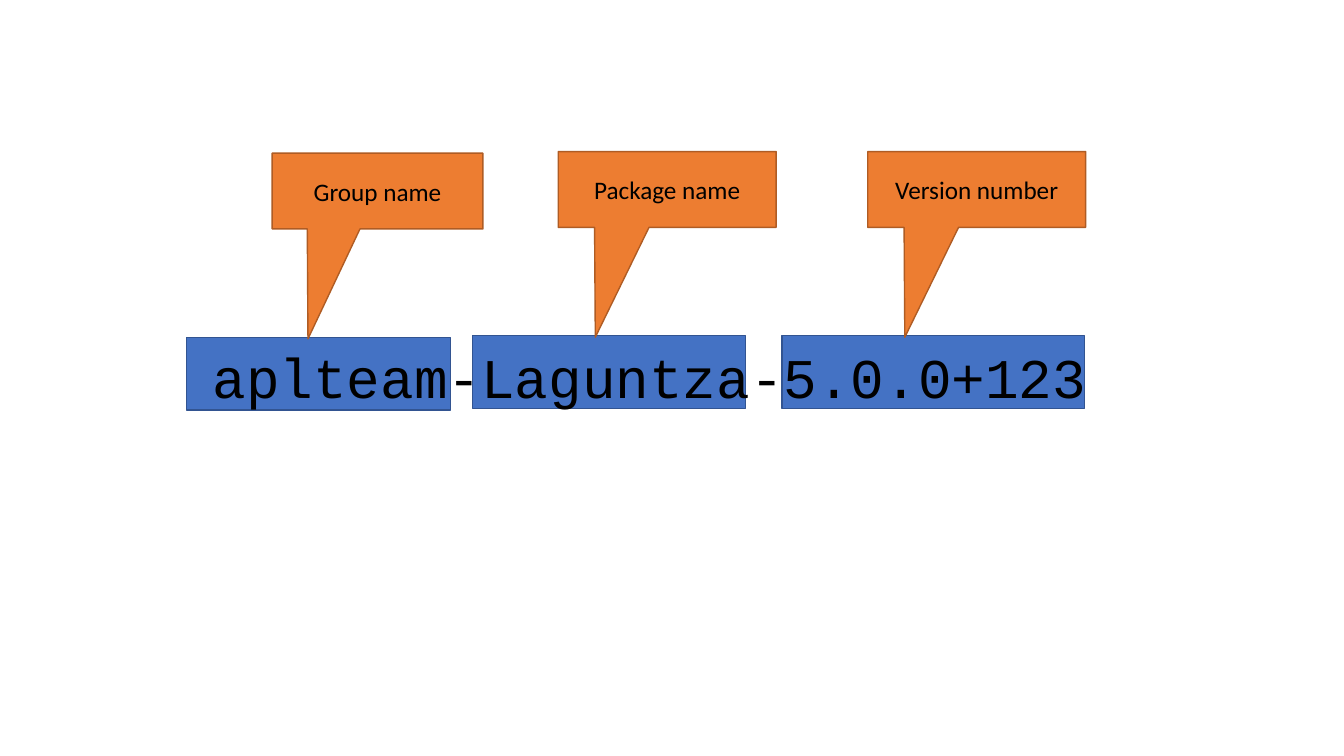
import pptx
import pptx.dml.color
import pptx.enum.shapes
import pptx.enum.text
import pptx.util

Cm = pptx.util.Cm
Pt = pptx.util.Pt
RGBColor = pptx.dml.color.RGBColor
MSO_SHAPE = pptx.enum.shapes.MSO_SHAPE

BLUE = RGBColor(0x44, 0x72, 0xC4)
DARK_BLUE = RGBColor(0x32, 0x54, 0x91)
ORANGE = RGBColor(0xED, 0x7D, 0x31)
DARK_ORANGE = RGBColor(0xAF, 0x5C, 0x24)
BLACK = RGBColor(0, 0, 0)


def add_filled(group, preset, left, top, width, height, fill, outline):
    shape = group.shapes.add_shape(preset, Cm(left), Cm(top), Cm(width), Cm(height))
    shape.shadow.inherit = False
    shape.fill.solid()
    shape.fill.fore_color.rgb = fill
    shape.line.color.rgb = outline
    shape.line.width = Pt(1)
    return shape


def write_text(shape, text, font_name, size):
    shape.text_frame.text = text
    shape.text_frame.word_wrap = True
    font = shape.text_frame.paragraphs[0].runs[0].font
    font.name = font_name
    font.size = Pt(size)
    font.color.rgb = BLACK


presentation = pptx.Presentation()
presentation.slide_width = Cm(33.87)
presentation.slide_height = Cm(19.05)
slide = presentation.slides.add_slide(presentation.slide_layouts[6])

name_parts = [
    ("Version number", 19.71, 8.46, 7.62, 5.49),
    ("Package name", 11.91, 8.46, 6.88, 5.49),
    ("Group name", 4.7, 8.5, 6.65, 5.31),
]
for label, left, top, part_width, callout_width in name_parts:
    part = slide.shapes.add_group_shape()
    add_filled(part, MSO_SHAPE.RECTANGLE, left, top, part_width, 1.83, BLUE, DARK_BLUE)
    callout = add_filled(part, MSO_SHAPE.RECTANGULAR_CALLOUT, left + 2.16, top - 4.64,
                         callout_width, 1.91, ORANGE, DARK_ORANGE)
    callout.adjustments[0] = -0.33
    callout.adjustments[1] = 1.95
    write_text(callout, label, "Calibri", 18)
    callout.text_frame.vertical_anchor = pptx.enum.text.MSO_ANCHOR.MIDDLE
    callout.text_frame.paragraphs[0].alignment = pptx.enum.text.PP_ALIGN.CENTER

full_name = slide.shapes.add_textbox(Cm(5.11), Cm(8.51), Cm(24.69), Cm(1.96))
write_text(full_name, "aplteam-Laguntza-5.0.0+123", "Courier New", 40)
full_name.text_frame.auto_size = pptx.enum.text.MSO_AUTO_SIZE.SHAPE_TO_FIT_TEXT

presentation.save("out.pptx")
